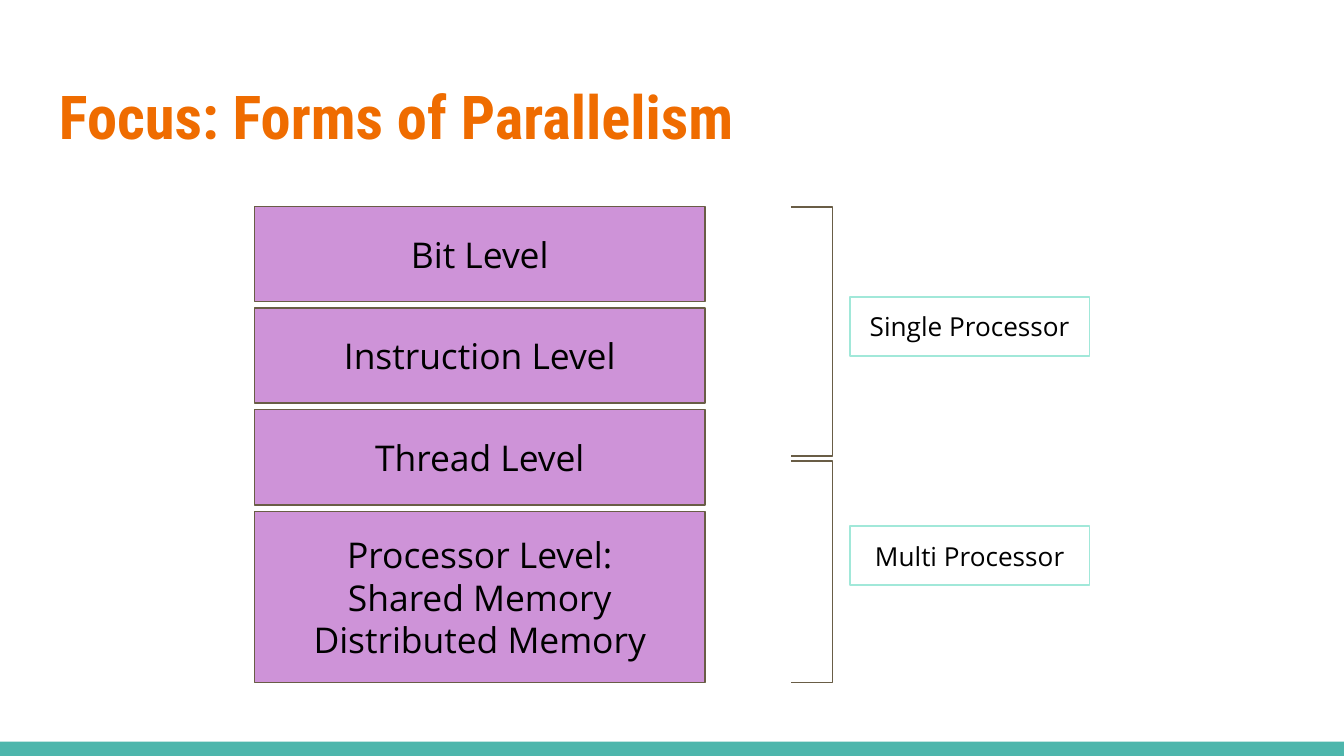
from dataclasses import dataclass

from pptx import Presentation
from pptx.dml.color import RGBColor as Rgb
from pptx.enum.shapes import MSO_SHAPE as Preset
from pptx.enum.text import MSO_ANCHOR as Anchor, PP_ALIGN as Align
from pptx.util import Inches, Pt


@dataclass(frozen=True)
class Theme:
    """Colours, fonts and type sizes of the slide."""
    heading: str = "EF6C00"
    ink: str = "000000"
    level: str = "CE93D8"
    outline: str = "695D46"
    label: str = "A1E8D9"
    footer: str = "4DB6AC"
    heading_font: str = "Roboto Condensed"
    body_font: str = "Open Sans"
    heading_size: float = 32.4
    level_size: float = 19
    label_size: float = 14
    line_width: float = 0.75


THEME = Theme()
WIDTH = Inches(10)
HEIGHT = WIDTH * 9 // 16
LEVELS = ("Bit Level", "Instruction Level", "Thread Level",
          "Processor Level:\nShared Memory\nDistributed Memory")
LEVEL_TOP, LEVEL_PITCH, LEVEL_HEIGHT, LAST_HEIGHT = 27.3, 13.45, 12.6, 22.6
PROCESSORS = (("Single Processor", 39.3, 27.4, 60.3),
              ("Multi Processor", 69.6, 61, 90.3))


def across(percent):
    """Return a share of the slide's width."""
    return round(WIDTH * percent / 100)


def down(percent):
    """Return a share of the slide's height."""
    return round(HEIGHT * percent / 100)


def area(left, top, width, height):
    """Turn percentages into a slide position and size."""
    return across(left), down(top), across(width), down(height)


def write(holder, text, *, size, color=THEME.ink, font=THEME.body_font,
          bold=False, align=Align.CENTER):
    """Put formatted text, one paragraph a line, into a shape."""
    frame = holder.text_frame
    frame.word_wrap = True
    frame.vertical_anchor = Anchor.MIDDLE
    frame.margin_left = frame.margin_right = Inches(0.1)
    frame.margin_top = frame.margin_bottom = Inches(0.1)
    frame.text = text
    for paragraph in frame.paragraphs:
        paragraph.alignment = align
        paragraph.font.size = Pt(size)
        paragraph.font.name = font
        paragraph.font.bold = bold
        paragraph.font.color.rgb = Rgb.from_string(color)


def paint(shape, fill=None, line=None):
    """Set the fill and outline of a shape and drop its shadow."""
    shape.shadow.inherit = False
    if fill:
        shape.fill.solid()
        shape.fill.fore_color.rgb = Rgb.from_string(fill)
    else:
        shape.fill.background()
    if line:
        shape.line.color.rgb = Rgb.from_string(line)
        shape.line.width = Pt(THEME.line_width)
    else:
        shape.line.fill.background()


def add_box(slide, place, fill=None, line=None):
    """Add a painted rectangle."""
    box = slide.shapes.add_shape(Preset.RECTANGLE, *area(*place))
    paint(box, fill, line)
    return box


def add_bracket(slide, left, right, top, bottom):
    """Add a bracket that opens to the left."""
    outline = slide.shapes.build_freeform(across(left), down(top))
    outline.add_line_segments([(across(right), down(top)),
                               (across(right), down(bottom)),
                               (across(left), down(bottom))], close=False)
    paint(outline.convert_to_shape(), line=THEME.outline)


def add_heading(slide, text):
    """Add the slide heading."""
    heading = slide.shapes.add_textbox(*area(3.4, 8.4, 93.2, 13.7))
    write(heading, text, size=THEME.heading_size, color=THEME.heading,
          font=THEME.heading_font, bold=True, align=Align.LEFT)


def add_levels(slide):
    """Stack the levels of parallelism, the last one taller."""
    for row, text in enumerate(LEVELS):
        height = LAST_HEIGHT if text == LEVELS[-1] else LEVEL_HEIGHT
        level = add_box(slide, (18.95, LEVEL_TOP + row * LEVEL_PITCH, 33.5, height),
                        THEME.level, THEME.outline)
        write(level, text, size=THEME.level_size)


def add_processors(slide):
    """Add each processor label with its bracket."""
    for text, label_top, top, bottom in PROCESSORS:
        label = add_box(slide, (63.25, label_top, 17.8, 7.8), line=THEME.label)
        write(label, text, size=THEME.label_size)
        add_bracket(slide, 58.85, 61.95, top, bottom)


def main():
    """Build and save the slide."""
    deck = Presentation()
    deck.slide_width, deck.slide_height = WIDTH, HEIGHT
    slide = deck.slides.add_slide(deck.slide_layouts[6])
    add_box(slide, (0, 98.1, 100, 1.9), THEME.footer)
    add_heading(slide, "Focus: Forms of Parallelism")
    add_levels(slide)
    add_processors(slide)
    deck.save("out.pptx")


if __name__ == "__main__":
    main()
